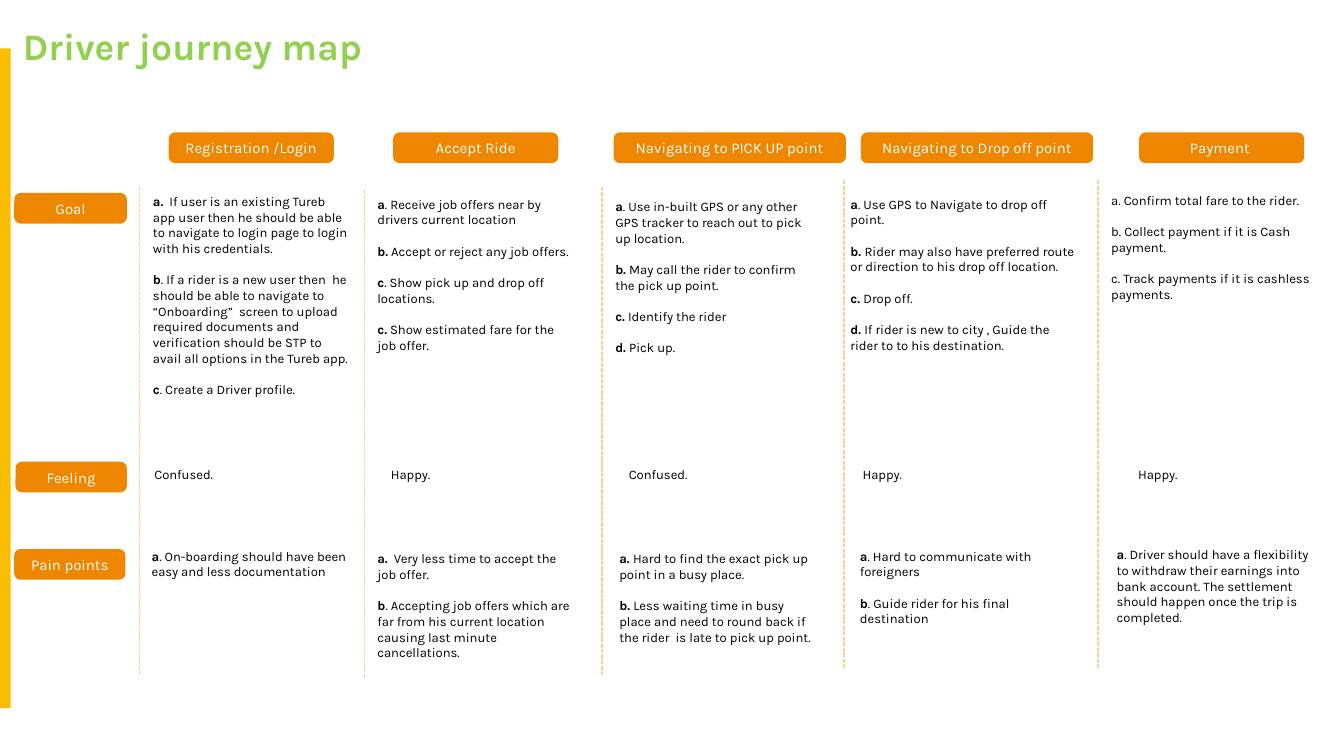
from pptx import Presentation
from pptx.dml.color import RGBColor
from pptx.enum.dml import MSO_LINE
from pptx.enum.shapes import MSO_CONNECTOR, MSO_SHAPE
from pptx.enum.text import MSO_ANCHOR, MSO_AUTO_SIZE, PP_ALIGN
from pptx.oxml.ns import qn
from pptx.util import Inches, Pt
from lxml import etree

FONT = "Karla"
ORANGE, PALE_ORANGE, YELLOW, GREEN = "EF8600", "FFCD8C", "FBBC04", "92D050"
PILL_HEIGHT, PILL_TOP, DIVIDER_LENGTH = 0.2, 1.0, 3.64
ITEM_GAP = 8.4  # one text line, in points

# Row label and its box
ROWS = [
    ("Goal", (0.12, 1.45, 0.81)),
    ("Feeling", (0.13, 3.45, 0.8)),
    ("Pain points", (0.12, 4.1, 0.8)),
]

# Stage: name, pill (left, width), divider (x, top),
# then one (left offset from divider, top, width, height, items) per row;
# an item is a bold marker and the text after it
STAGES = [
    ("Registration /Login", (1.27, 1.2), (1.04, 1.39), [
        (0, 1.39, 1.66, 1.75, [
            ("a.", "  If user is an existing Tureb app user then he should be able "
                   "to navigate to login page to login with his credentials."),
            ("b", ". If a rider is a new user then  he should be able to navigate to "
                  "“Onboarding”  screen to upload required documents and verification "
                  "should be STP to avail all options in the Tureb app."),
            ("c", ". Create a Driver profile.")]),
        (0.01, 3.42, 1.65, 0.22, [("", "Confused.")]),
        (-0.01, 4.03, 1.65, 0.34, [
            ("a", ". On-boarding should have been easy and less documentation")]),
    ]),
    ("Accept Ride", (2.94, 1.2), (2.71, 1.41), [
        (0, 1.41, 1.66, 1.4, [
            ("a", ". Receive job offers near by drivers current location"),
            ("b.", " Accept or reject any job offers."),
            ("c", ". Show pick up and drop off locations."),
            ("c.", " Show estimated fare for the job offer.")]),
        (0.1, 3.42, 1.65, 0.22, [("", "Happy.")]),
        (0, 4.05, 1.65, 1.04, [
            ("a.", "  Very less time to accept the job offer."),
            ("b", ". Accepting job offers which are far from his current location "
                  "causing last minute cancellations.")]),
    ]),
    ("Navigating to PICK UP point", (4.58, 1.7), (4.48, 1.39), [
        (0, 1.43, 1.7, 1.4, [
            ("a", ". Use in-built GPS or any other GPS tracker to reach out to pick "
                  "up location."),
            ("b.", " May call the rider to confirm the pick up point."),
            ("c.", " Identify the rider"),
            ("d.", " Pick up.")]),
        (0.1, 3.42, 1.65, 0.22, [("", "Confused.")]),
        (0.03, 4.05, 1.65, 0.81, [
            ("a. ", "Hard to find the exact pick up point in a busy place."),
            ("b. ", "Less waiting time in busy place and need to round back if the "
                    "rider  is late to pick up point.")]),
    ]),
    ("Navigating to Drop off point", (6.42, 1.7), (6.28, 1.34), [
        (-0.05, 1.41, 1.9, 1.4, [
            ("a", ". Use GPS to Navigate to drop off point."),
            ("b. ", "Rider may also have preferred route or direction to his drop off "
                    "location."),
            ("c. ", "Drop off."),
            ("d.", " If rider is new to city , Guide the rider to to his destination.")]),
        (0.04, 3.42, 1.65, 0.22, [("", "Happy.")]),
        (0.02, 4.03, 1.65, 0.81, [
            ("a", ". Hard to communicate with foreigners"),
            ("b", ". Guide rider for his final destination")]),
    ]),
    ("Payment ", (8.49, 1.2), (8.17, 1.34), [
        (0, 1.38, 1.84, 0.93, [
            ("", "a. Confirm total fare to the rider."),
            ("", "b. Collect payment if it is Cash payment."),
            ("", "c. Track payments if it is cashless payments.")]),
        (0.2, 3.42, 1.63, 0.22, [("", "Happy.")]),
        (0.04, 4.02, 1.65, 0.57, [
            ("a", ". Driver should have a flexibility to withdraw their earnings into "
                  "bank account. The settlement should happen once the trip is "
                  "completed.")]),
    ]),
]


def color(hex_string):
    return RGBColor.from_string(hex_string)


def style_font(font, size, hex_string, bold=False):
    font.name, font.size, font.bold = FONT, Pt(size), bold
    font.color.rgb = color(hex_string)


def add_block(slide, kind, left, top, width, height, fill):
    block = slide.shapes.add_shape(
        kind, Inches(left), Inches(top), Inches(width), Inches(height))
    block.shadow.inherit = False
    block.fill.solid()
    block.fill.fore_color.rgb = color(fill)
    block.line.fill.background()
    return block


def add_text_frame(slide, left, top, width, height):
    frame = slide.shapes.add_textbox(
        Inches(left), Inches(top), Inches(width), Inches(height)).text_frame
    frame.word_wrap = True
    frame.auto_size = MSO_AUTO_SIZE.SHAPE_TO_FIT_TEXT
    return frame


def add_pill(slide, label, left, top, width):
    pill = add_block(slide, MSO_SHAPE.ROUNDED_RECTANGLE,
                     left, top, width, PILL_HEIGHT, ORANGE)
    pill.line.color.rgb = color(ORANGE)
    pill.line.width = Pt(2)
    frame = pill.text_frame
    frame.text = label
    frame.vertical_anchor = MSO_ANCHOR.MIDDLE
    frame.paragraphs[0].alignment = PP_ALIGN.CENTER
    style_font(frame.paragraphs[0].runs[0].font, 8, "FFFFFF")


def add_divider(slide, x, top):
    divider = slide.shapes.add_connector(
        MSO_CONNECTOR.STRAIGHT, Inches(x), Inches(top),
        Inches(x), Inches(top + DIVIDER_LENGTH))
    divider.line.color.rgb = color(PALE_ORANGE)
    divider.line.width = Pt(0.75)
    divider.line.dash_style = MSO_LINE.SQUARE_DOT
    etree.SubElement(divider._element.spPr, qn("a:effectLst"))


def add_notes_cell(slide, left, top, width, height, items):
    frame = add_text_frame(slide, left, top, width, height)
    for index, (marker, text) in enumerate(items):
        paragraph = frame.add_paragraph() if index else frame.paragraphs[0]
        if index:
            paragraph.space_before = Pt(ITEM_GAP)
        for words, bold in ((marker, True), (text, False)):
            if words:
                run = paragraph.add_run()
                run.text = words
                style_font(run.font, 7, "000000", bold)


def add_header(slide, left, top, width, height):
    # Accent bar on the slide edge, then the title
    add_block(slide, MSO_SHAPE.RECTANGLE, 0, 0.36, 0.08, 4.91, YELLOW)
    title = add_text_frame(slide, left, top, width, height)
    title.margin_left = 0
    title.margin_top = title.margin_right = title.margin_bottom = Inches(0.1)
    title.text = "Driver journey map"
    style_font(title.paragraphs[0].runs[0].font, 20, GREEN, True)


def add_stage(slide, name, pill, divider, cells):
    pill_left, pill_width = pill
    x, top = divider
    add_pill(slide, name, pill_left, PILL_TOP, pill_width)
    add_divider(slide, x, top)
    for offset, cell_top, width, height, items in cells:
        add_notes_cell(slide, x + offset, cell_top, width, height, items)


def main():
    deck = Presentation()
    # Widescreen 16:9
    deck.slide_width, deck.slide_height = Inches(10), Inches(10 * 9 / 16)
    slide = deck.slides.add_slide(deck.slide_layouts[6])
    add_header(slide, 0.17, 0.07, 3.2, 0.54)
    # Row labels
    for label, box in ROWS:
        add_pill(slide, label, *box)
    # Journey columns
    for stage in STAGES:
        add_stage(slide, *stage)
    deck.save("out.pptx")


if __name__ == "__main__":
    main()
